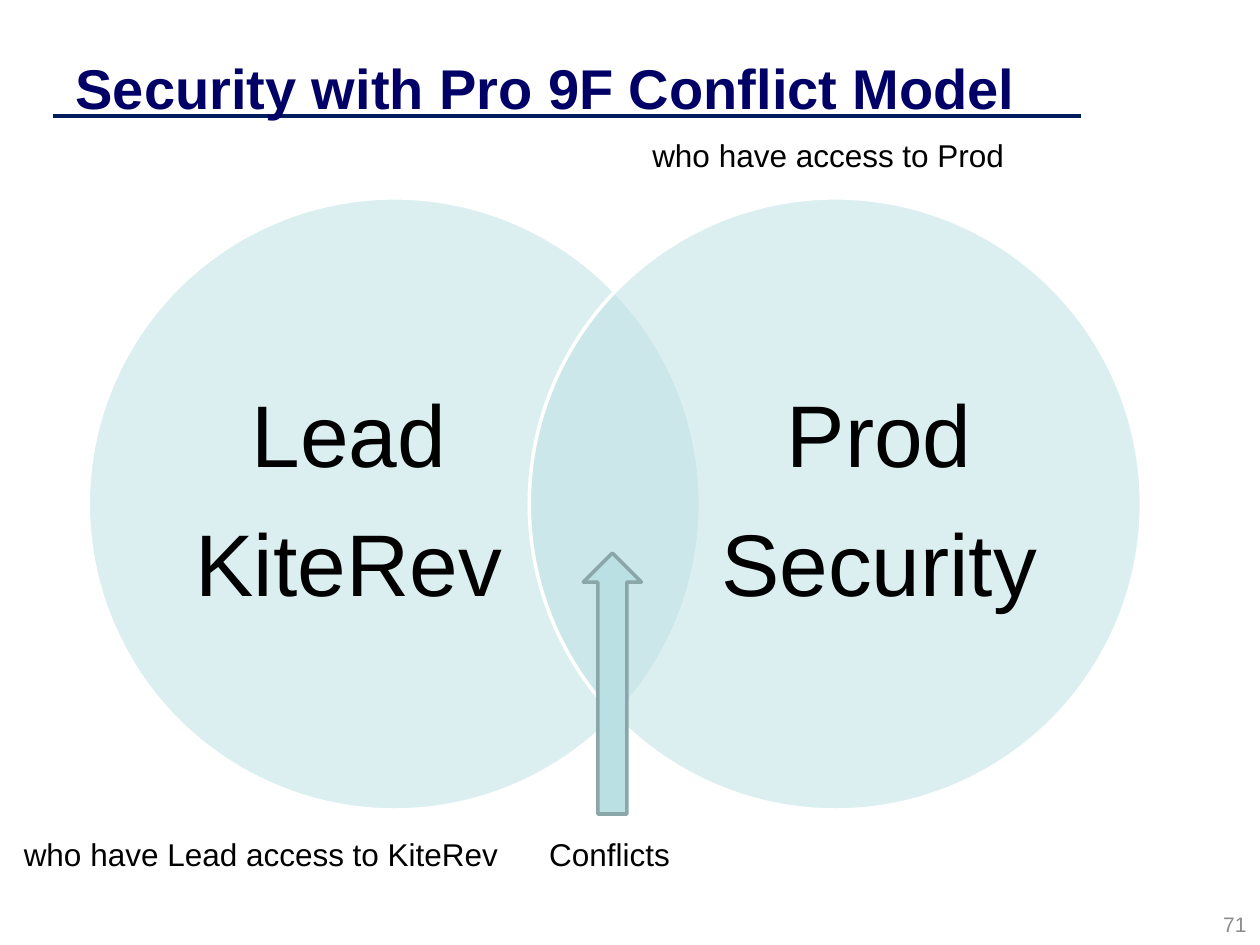
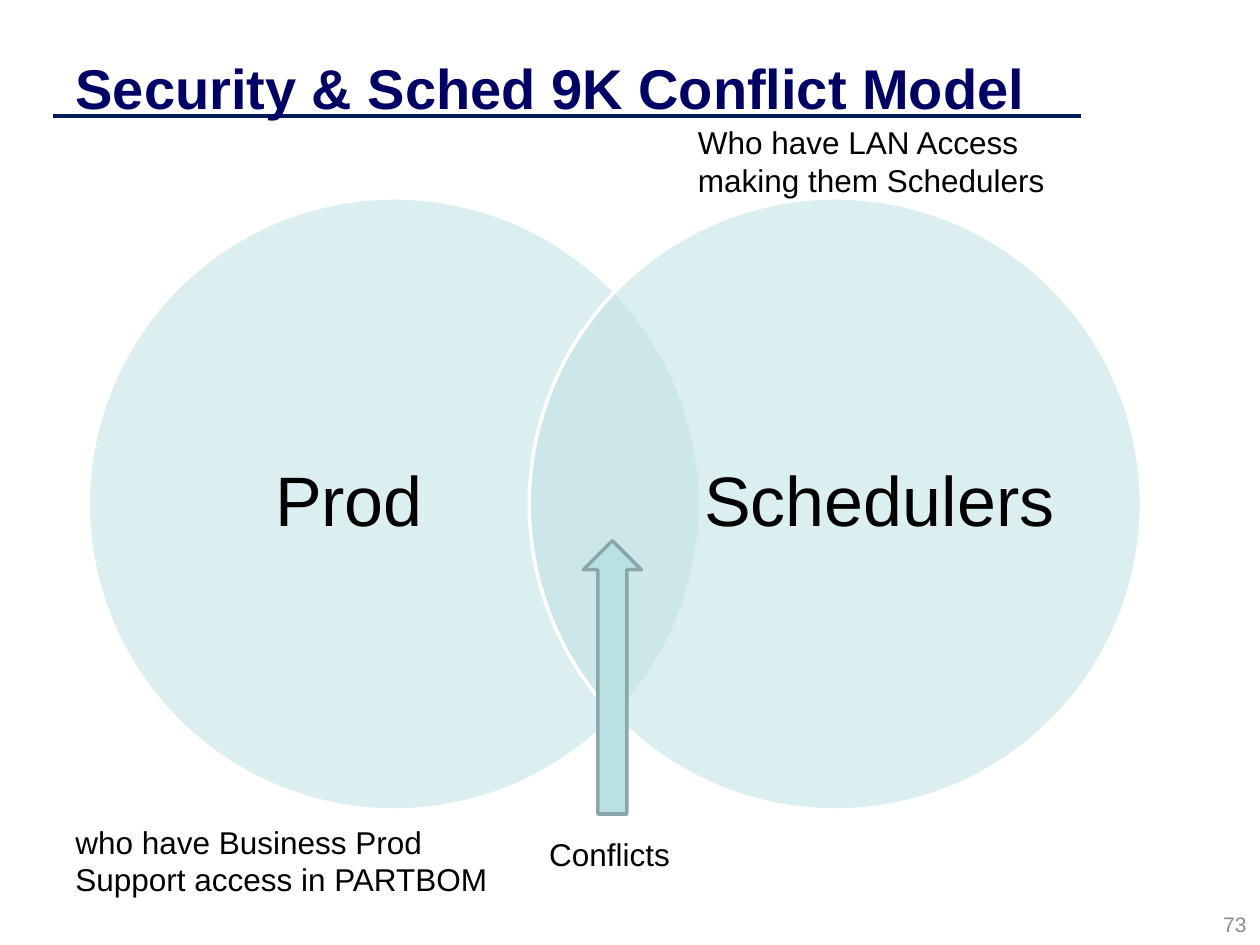
from dataclasses import dataclass

from lxml.etree import SubElement
from pptx import Presentation
from pptx.dml.color import RGBColor
from pptx.enum.shapes import MSO_CONNECTOR, MSO_SHAPE
from pptx.enum.text import MSO_ANCHOR, MSO_AUTO_SIZE, PP_ALIGN
from pptx.oxml.ns import qn
from pptx.shapes.autoshape import Shape
from pptx.slide import Slide
from pptx.text.text import TextFrame
from pptx.util import Cm, Pt


@dataclass(frozen=True)
class Theme:
    font: str = "Arial"
    title_color: RGBColor = RGBColor(0x00, 0x00, 0x66)
    rule_color: RGBColor = RGBColor(0x00, 0x1C, 0x5A)
    aqua: RGBColor = RGBColor(0xBB, 0xE0, 0xE3)
    arrow_edge: RGBColor = RGBColor(0x8A, 0xA6, 0xA8)
    white: RGBColor = RGBColor(0xFF, 0xFF, 0xFF)
    black: RGBColor = RGBColor(0x00, 0x00, 0x00)
    gray: RGBColor = RGBColor(0x8C, 0x8C, 0x8C)
    title_size: int = 32
    caption_size: int = 18
    number_size: int = 12
    line_width: int = 2


@dataclass(frozen=True)
class Box:
    """A place on the slide, in centimetres."""
    left: float
    top: float
    width: float
    height: float

    def lengths(self) -> tuple[Cm, Cm, Cm, Cm]:
        return Cm(self.left), Cm(self.top), Cm(self.width), Cm(self.height)


@dataclass(frozen=True)
class Caption:
    text: str
    box: Box


@dataclass(frozen=True)
class ConflictModel:
    title: str
    number: str
    groups: tuple[str, str]
    group_size: int
    arrow_height: float
    captions: tuple[Caption, Caption]


THEME = Theme()
TITLE_BOX = Box(1.27, 0.76, 20.32, 1.98)
NUMBER_BOX = Box(19.46, 18.19, 5.92, 0.86)
RULE_LEFT, RULE_RIGHT, RULE_Y = 1.07, 21.79, 2.34
CIRCLE_LEFT, CIRCLE_TOP, DIAMETER, CIRCLE_STEP = 1.78, 3.99, 12.34, 8.89
LABEL_LEFTS = (3.48, 14.17)
LABEL_TOP, LABEL_WIDTH, LABEL_HEIGHT = 5.44, 7.11, 9.42
ARROW_LEFT, ARROW_WIDTH, ARROW_BOTTOM = 11.76, 1.17, 16.41
CONFLICTS = Caption("Conflicts", Box(10.82, 16.71, 3, 1.02))

MODELS = (
    ConflictModel(
        "Security with Pro 9F Conflict Model", "71",
        ("Lead\nKiteRev", "Prod\nSecurity"), 50, 5.26,
        (Caption("who have Lead access to KiteRev", Box(0.23, 16.71, 10.82, 1.02)),
         Caption("who have access to Prod", Box(12.9, 2.62, 9.78, 1.02))),
    ),
    ConflictModel(
        "Security & Sched 9K Conflict Model", "73",
        ("Prod", "Schedulers"), 40, 5.51,
        (Caption("who have Business Prod Support access in PARTBOM",
                 Box(1.27, 16.46, 9.78, 1.8)),
         Caption("Who have LAN Access making them Schedulers",
                 Box(13.82, 2.36, 8.66, 1.8))),
    ),
)


def write(frame: TextFrame, text: str, *, size: int, color: RGBColor = THEME.black,
          bold: bool = False, align: PP_ALIGN = PP_ALIGN.LEFT,
          anchor: MSO_ANCHOR = MSO_ANCHOR.TOP, inset: bool = True,
          line_spacing: float = 1.0, space_after: float = 0) -> None:
    frame.text = text
    frame.word_wrap = True
    frame.auto_size = MSO_AUTO_SIZE.NONE
    frame.vertical_anchor = anchor
    if not inset:
        frame.margin_left = frame.margin_right = Cm(0)
        frame.margin_top = frame.margin_bottom = Cm(0)
    for paragraph in frame.paragraphs:
        paragraph.alignment = align
        paragraph.line_spacing = line_spacing
        paragraph.space_after = Pt(space_after)
        font = paragraph.font
        font.name, font.size, font.bold = THEME.font, Pt(size), bold
        font.color.rgb = color


def add_text(slide: Slide, text: str, box: Box, **text_format) -> None:
    write(slide.shapes.add_textbox(*box.lengths()).text_frame, text, **text_format)


def add_aqua_shape(slide: Slide, kind: MSO_SHAPE, box: Box, edge: RGBColor) -> Shape:
    shape = slide.shapes.add_shape(kind, *box.lengths())
    shape.shadow.inherit = False
    shape.fill.solid()
    shape.fill.fore_color.rgb = THEME.aqua
    shape.line.color.rgb = edge
    shape.line.width = Pt(THEME.line_width)
    return shape


def add_title(slide: Slide, text: str) -> None:
    title = slide.shapes.title
    title.left, title.top, title.width, title.height = TITLE_BOX.lengths()
    write(title.text_frame, text, size=THEME.title_size, color=THEME.title_color,
          bold=True, anchor=MSO_ANCHOR.MIDDLE)
    rule = slide.shapes.add_connector(
        MSO_CONNECTOR.STRAIGHT, Cm(RULE_LEFT), Cm(RULE_Y), Cm(RULE_RIGHT), Cm(RULE_Y))
    rule.line.color.rgb = THEME.rule_color
    rule.line.width = Pt(THEME.line_width)
    SubElement(rule.element.spPr, qn("a:effectLst"))
    title.element.addprevious(rule.element)


def add_group(slide: Slide, index: int, name: str, size: int) -> None:
    """Draw one half-transparent circle of the Venn diagram and its label."""
    circle_box = Box(CIRCLE_LEFT + index * CIRCLE_STEP, CIRCLE_TOP, DIAMETER, DIAMETER)
    circle = add_aqua_shape(slide, MSO_SHAPE.OVAL, circle_box, THEME.white)
    fill_color = circle.element.spPr.find(qn("a:solidFill")).find(qn("a:srgbClr"))
    SubElement(fill_color, qn("a:alpha"), val="50000")
    label_box = Box(LABEL_LEFTS[index], LABEL_TOP, LABEL_WIDTH, LABEL_HEIGHT)
    add_text(slide, name, label_box, size=size, align=PP_ALIGN.CENTER,
             anchor=MSO_ANCHOR.MIDDLE, inset=False, line_spacing=0.9,
             space_after=0.4 * size)


def add_conflict_slide(slide: Slide, model: ConflictModel) -> None:
    add_title(slide, model.title)
    for index, name in enumerate(model.groups):
        add_group(slide, index, name, model.group_size)
    add_text(slide, model.number, NUMBER_BOX, size=THEME.number_size,
             color=THEME.gray, align=PP_ALIGN.RIGHT, anchor=MSO_ANCHOR.MIDDLE)
    arrow_box = Box(ARROW_LEFT, ARROW_BOTTOM - model.arrow_height,
                    ARROW_WIDTH, model.arrow_height)
    add_aqua_shape(slide, MSO_SHAPE.UP_ARROW, arrow_box, THEME.arrow_edge)
    for caption in (CONFLICTS, *model.captions):
        add_text(slide, caption.text, caption.box, size=THEME.caption_size)


def main() -> None:
    presentation = Presentation()
    presentation.slide_width, presentation.slide_height = Cm(25.4), Cm(19.05)
    title_only = presentation.slide_layouts[5]
    for model in MODELS:
        add_conflict_slide(presentation.slides.add_slide(title_only), model)
    presentation.save("out.pptx")


if __name__ == "__main__":
    main()
